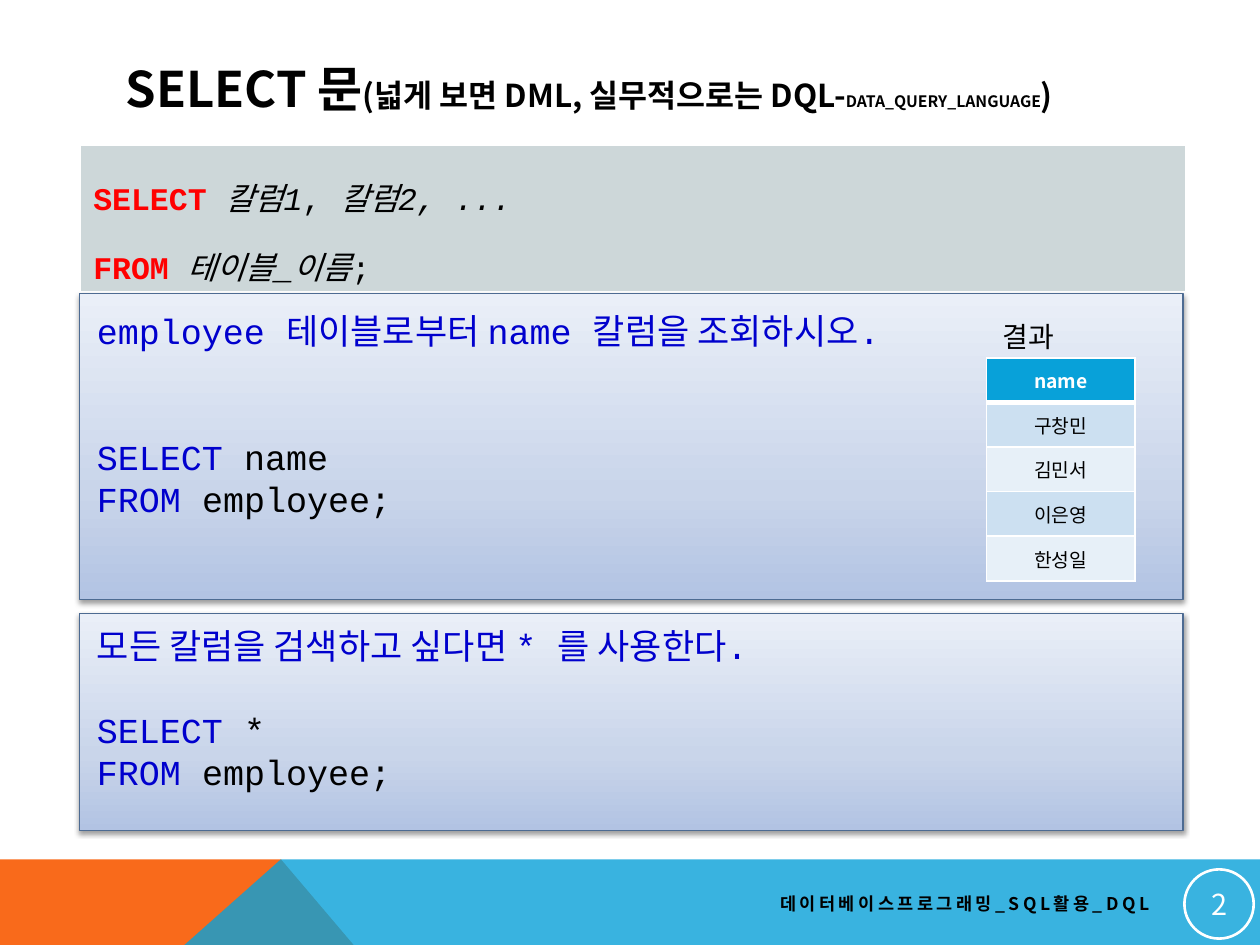
import pptx
import pptx.dml.color
import pptx.enum.shapes
import pptx.enum.text
import pptx.oxml
import pptx.oxml.ns
import pptx.util

W, H = pptx.util.Inches(10), pptx.util.Inches(7.5)
SANS, MONO = "Noto Sans CJK KR", "Courier New"
BLACK, WHITE, RED, BLUE, SKY = "000000", "FFFFFF", "FF0000", "0000CD", "08A1D9"
ALIGN = pptx.enum.text.PP_ALIGN
MIDDLE = pptx.enum.text.MSO_ANCHOR.MIDDLE
NS = pptx.oxml.ns.nsdecls("a")
PANEL_TOP, SYNTAX_TOP = 31.07, 15.33
PANEL_GRADIENT = (
    f'<a:gradFill {NS} rotWithShape="1"><a:gsLst>'
    '<a:gs pos="0"><a:srgbClr val="B2C3E3"/></a:gs>'
    '<a:gs pos="35000"><a:srgbClr val="C9D5EA"/></a:gs>'
    '<a:gs pos="100000"><a:srgbClr val="EAEFF8"/></a:gs>'
    '</a:gsLst><a:lin ang="16200000" scaled="0"/></a:gradFill>')
PANEL_SHADOW = (
    f'<a:effectLst {NS}><a:outerShdw blurRad="39370" dist="20320" dir="5400000" rotWithShape="0">'
    '<a:srgbClr val="000000"><a:alpha val="38000"/></a:srgbClr></a:outerShdw></a:effectLst>')
HEADER_RULE = (
    f'<a:lnB {NS} w="38100"><a:solidFill><a:srgbClr val="FFFFFF"/></a:solidFill></a:lnB>')


def rgb(value):
    return pptx.dml.color.RGBColor.from_string(value)


def share(x, y):
    return int(W * x / 100), int(H * y / 100)


def area(x, y, w, h):
    return share(x, y) + share(w, h)


def add_run(p, text, size, color=BLACK, font=SANS, bold=False, italic=False):
    r = p.add_run()
    r.text = text
    f = r.font
    f.name, f.size, f.bold, f.italic = font, pptx.util.Pt(size), bold, italic
    f.color.rgb = rgb(color)
    ea = pptx.oxml.parse_xml(f'<a:ea {NS} typeface="{SANS}"/>')
    r._r.rPr.find(pptx.oxml.ns.qn("a:latin")).addnext(ea)
    return r


def add_text(s, box, anchor=None, align=None, wrap=True):
    tf = s.shapes.add_textbox(*area(*box)).text_frame
    tf.word_wrap = wrap
    tf.vertical_anchor = anchor
    p = tf.paragraphs[0]
    p.alignment = align
    return p


def add_band(s, points, color, opacity=100):
    points = [share(*point) for point in points]
    builder = s.shapes.build_freeform(*points[0], scale=1.0)
    builder.add_line_segments(points[1:], close=True)
    sp = builder.convert_to_shape()
    sp.shadow.inherit = False
    sp.fill.solid()
    sp.fill.fore_color.rgb = rgb(color)
    sp.line.fill.background()
    clr = sp.fill._xPr.find(".//" + pptx.oxml.ns.qn("a:srgbClr"))
    clr.append(pptx.oxml.parse_xml(f'<a:alpha {NS} val="{opacity * 1000}"/>'))


def add_panel(s, top, height, text_top, text_height, question, gap_lines, target):
    sp = s.shapes.add_shape(pptx.enum.shapes.MSO_SHAPE.RECTANGLE, *area(6.3, top, 87.6, height))
    sp.line.color.rgb = rgb("4D6B92")
    sp.line.width = pptx.util.Pt(0.75)
    pr = sp._element.spPr
    pr.find(pptx.oxml.ns.qn("a:ln")).addprevious(pptx.oxml.parse_xml(PANEL_GRADIENT))
    pr.append(pptx.oxml.parse_xml(PANEL_SHADOW))
    p = add_text(s, (6.7, text_top, 69.2, text_height))
    add_run(p, question, 20, BLUE, MONO)
    tf = p._parent
    for keyword, rest, gap in (("SELECT", target, gap_lines), ("FROM", " employee;", 0)):
        p = tf.add_paragraph()
        p.space_before = pptx.util.Pt(24 * gap)
        add_run(p, keyword, 20, BLUE, MONO)
        add_run(p, rest, 20, BLACK, MONO)


def add_grid(s, box, fills):
    table = s.shapes.add_table(len(fills), 1, *area(*box)).table
    for row, fill in enumerate(fills):
        cell = table.cell(row, 0)
        cell.fill.solid()
        cell.fill.fore_color.rgb = rgb(fill)
    table.cell(0, 0)._tc.tcPr.insert(0, pptx.oxml.parse_xml(HEADER_RULE))
    return table


def add_syntax(s):
    table = add_grid(s, (6.4, SYNTAX_TOP, 87.7, PANEL_TOP - SYNTAX_TOP), ["CDD7D9"])
    p = table.cell(0, 0).text_frame.paragraphs[0]
    p.line_spacing = 1.5
    add_run(p, "SELECT\u00a0", 18, RED, MONO, bold=True)
    add_run(p, "칼럼1", 18, BLACK, MONO, italic=True)
    add_run(p, ",\u00a0", 18, BLACK, MONO)
    add_run(p, "칼럼2, ...", 18, BLACK, MONO, italic=True)
    p.add_line_break()
    add_run(p, "FROM\u00a0", 18, RED, MONO, bold=True)
    add_run(p, "테이블_이름", 18, BLACK, MONO, italic=True)
    add_run(p, ";", 18, BLACK, MONO)


def add_result(s):
    names = ["name", "구창민", "김민서", "이은영", "한성일"]
    table = add_grid(s, (78.3, 37.87, 11.8, 23.6), [SKY] + ["CCE0F1", "E7F0F8"] * 2)
    for row, name in enumerate(names):
        cell = table.cell(row, 0)
        cell.vertical_anchor = MIDDLE
        p = cell.text_frame.paragraphs[0]
        p.alignment = ALIGN.CENTER
        add_run(p, name, 11, BLACK if row else WHITE, bold=row == 0)
    add_run(add_text(s, (78.6, 33.2, 7.3, 4.93), wrap=False), "결과 ", 16)


def add_page_number(s):
    sp = s.shapes.add_shape(pptx.enum.shapes.MSO_SHAPE.OVAL, *area(94, 92, 5.5, 7.33))
    sp.shadow.inherit = False
    sp.fill.background()
    sp.line.color.rgb = rgb(WHITE)
    sp.line.width = pptx.util.Pt(1.5)
    tf = sp.text_frame
    tf.margin_left = tf.margin_right = tf.margin_top = tf.margin_bottom = pptx.util.Inches(0.01)
    tf.vertical_anchor = MIDDLE
    p = tf.paragraphs[0]
    p.alignment = ALIGN.CENTER
    add_run(p, "2", 16.5, WHITE)


def add_footer(s):
    p = add_text(s, (35.8, 93.6, 56.4, 4), MIDDLE, ALIGN.RIGHT)
    r = add_run(p, "데이터베이스프로그래밍_SQL활용_DQL", 10, bold=True)
    r._r.rPr.set("spc", "200")


def add_title(s):
    p = add_text(s, (9, 5.33, 82.2, 8), MIDDLE)
    for text, size in (("SELECT 문", 28), ("(넓게 보면 DML, 실무적으로는 DQL-", 18),
                       ("DATA_QUERY_LANGUAGE", 9), (")", 18)):
        add_run(p, text, size, bold=True)


def main():
    prs = pptx.Presentation()
    prs.slide_width, prs.slide_height = W, H
    s = prs.slides.add_slide(prs.slide_layouts[6])
    top, bottom, peak = 90.93, 117.33, 22.3
    add_band(s, [(0, bottom), (0, top), (peak, top), (39.1, bottom)], "F96A1B")
    add_band(s, [(0, bottom), (peak, top), (100, top), (100, bottom)], SKY, 80)
    add_panel(s, 64.93, 22.93, 65.47, 19.33,
              "모든 칼럼을 검색하고 싶다면 * 를 사용한다.", 1, "\u00a0*\u00a0")
    add_page_number(s)
    add_syntax(s)
    add_footer(s)
    add_panel(s, PANEL_TOP, 32.4, 32.13, 23.73,
              "employee 테이블로부터 name 칼럼을 조회하시오.", 2, "\u00a0name\u00a0")
    add_result(s)
    add_title(s)
    prs.save("out.pptx")


main()
